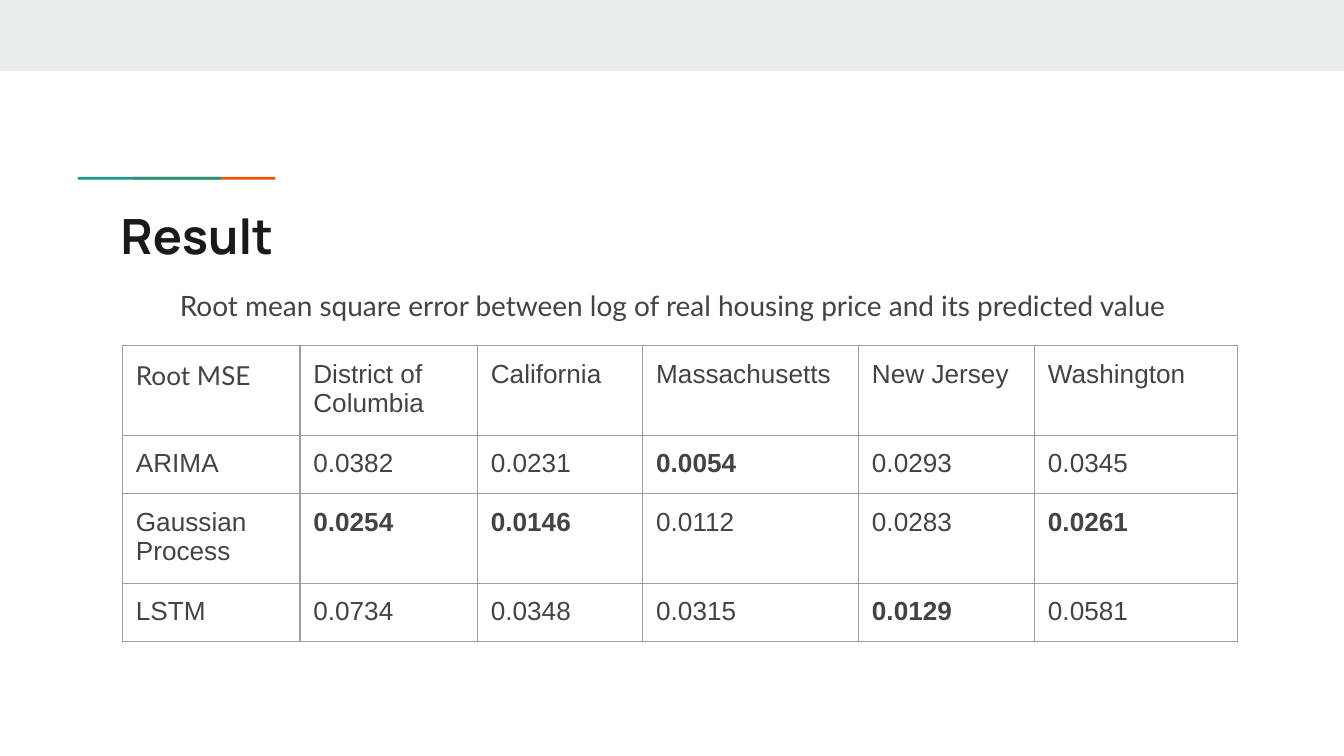
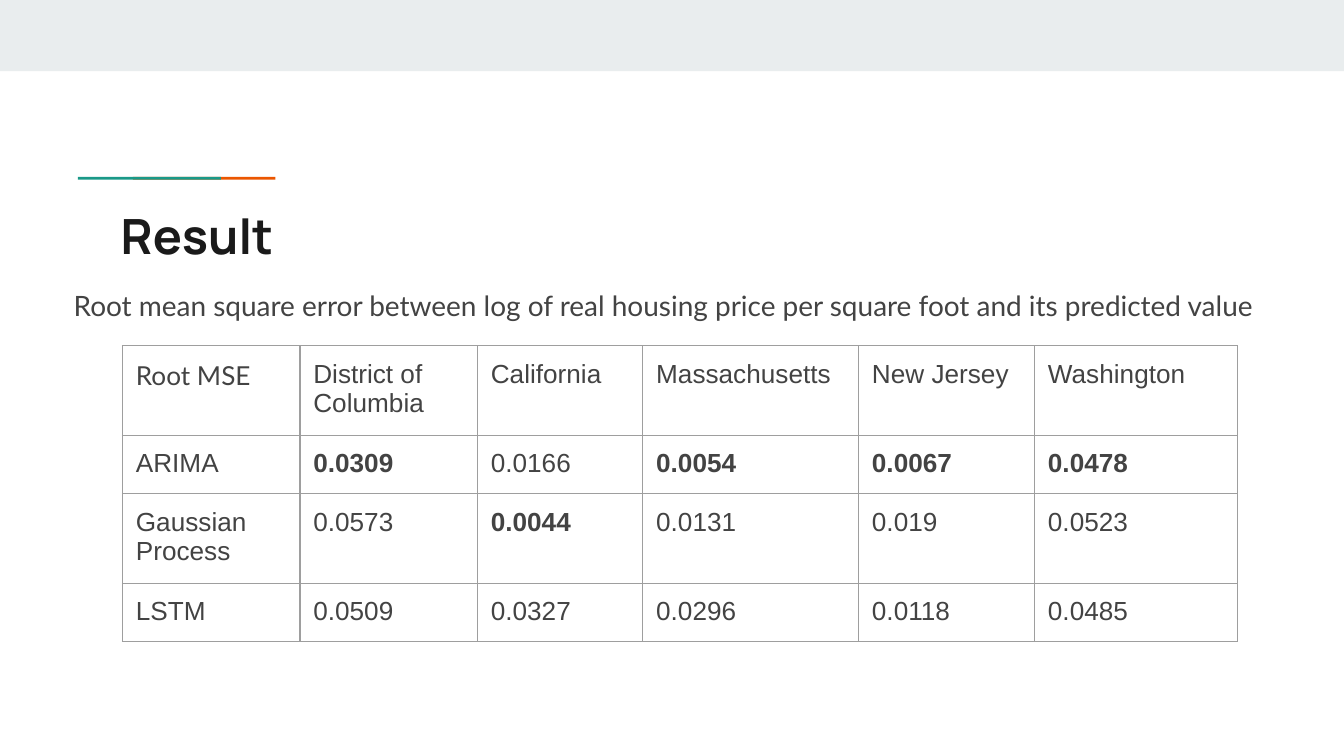
from lxml.etree import SubElement
from pptx import Presentation
from pptx.dml.color import RGBColor
from pptx.enum.shapes import MSO_SHAPE as SHAPE
from pptx.enum.text import MSO_ANCHOR as ANCHOR
from pptx.oxml.ns import qn
from pptx.util import Pt

BAND = RGBColor(0xE9, 0xED, 0xEE)
ORANGE = RGBColor(0xEB, 0x56, 0x00)
TEAL = RGBColor(0x1A, 0x99, 0x88)
INK = RGBColor(0x1A, 0x1A, 0x1A)
GREY = RGBColor(0x43, 0x43, 0x43)
BORDER = RGBColor(0x9E, 0x9E, 0x9E)

WIDTH, HEIGHT = 720, 405
INSET = Pt(7.2)
COLUMNS = [95.1, 95.1, 88.6, 115.6, 94.3, 108.8]
ROWS = [46, 30.3, 46, 30.3]

HEADER = ["Root MSE", "District of Columbia", "California",
          "Massachusetts", "New Jersey", "Washington"]
MODELS = ["ARIMA", "Gaussian Process", "LSTM"]
RESULTS = [
    ("Root mean square error between log of real housing price "
     "and its predicted value", 89.3, 556.6,
     [[0.0382, 0.0231, 0.0054, 0.0293, 0.0345],
      [0.0254, 0.0146, 0.0112, 0.0283, 0.0261],
      [0.0734, 0.0348, 0.0315, 0.0129, 0.0581]]),
    ("Root mean square error between log of real housing price "
     "per square foot and its predicted value", 32.4, 650.2,
     [[0.0309, 0.0166, 0.0054, 0.0067, 0.0478],
      [0.0573, 0.0044, 0.0131, 0.019, 0.0523],
      [0.0509, 0.0327, 0.0296, 0.0118, 0.0485]]),
]


class Deck:
    def __init__(self):
        self.prs = Presentation()
        self.prs.slide_width, self.prs.slide_height = Pt(WIDTH), Pt(HEIGHT)
        self.s = None

    def slide(self, title):
        self.s = self.prs.slides.add_slide(self.prs.slide_layouts[6])
        self.rect(0, 0, WIDTH, 38.2, BAND)
        self.rect(71.2, 94.8, 76.3, 1.5, ORANGE)
        self.rect(41.8, 94.8, 76.6, 1.5, TEAL)
        self.text(title, 57.6, 103.4, 605.5, 42.5, 26, "Manrope", INK, True)

    def rect(self, x, y, w, h, color):
        sp = self.s.shapes.add_shape(SHAPE.RECTANGLE, Pt(x), Pt(y), Pt(w), Pt(h))
        sp.shadow.inherit = False
        sp.fill.solid()
        sp.fill.fore_color.rgb = color
        sp.line.fill.background()

    def style(self, p, size, font, color, bold=False):
        p.font.size, p.font.name, p.font.bold = Pt(size), font, bold
        p.font.color.rgb = color

    def inset(self, box):
        box.margin_left = box.margin_right = INSET
        box.margin_top = box.margin_bottom = INSET

    def text(self, text, x, y, w, h, size, font, color, bold=False):
        tf = self.s.shapes.add_textbox(Pt(x), Pt(y), Pt(w), Pt(h)).text_frame
        tf.word_wrap = True
        tf.vertical_anchor = ANCHOR.TOP
        self.inset(tf)
        p = tf.paragraphs[0]
        p.text = text
        self.style(p, size, font, color, bold)

    def borders(self, cell):
        tc_pr = cell._tc.get_or_add_tcPr()
        for side in ("lnL", "lnR", "lnT", "lnB"):
            ln = SubElement(tc_pr, qn(f"a:{side}"), w=str(Pt(0.75)))
            fill = SubElement(ln, qn("a:solidFill"))
            SubElement(fill, qn("a:srgbClr"), val=str(BORDER))

    def cell(self, cell, text, font, bold):
        self.inset(cell)
        self.borders(cell)
        cell.fill.background()
        p = cell.text_frame.paragraphs[0]
        p.text = text
        self.style(p, 14, font, GREY, bold)

    def table(self, values, x, y):
        table = self.s.shapes.add_table(
            len(ROWS), len(COLUMNS), Pt(x), Pt(y),
            Pt(sum(COLUMNS)), Pt(sum(ROWS))).table
        table.first_row = table.horz_banding = False
        for column, width in zip(table.columns, COLUMNS):
            column.width = Pt(width)
        for row, height in zip(table.rows, ROWS):
            row.height = Pt(height)
        for j, text in enumerate(HEADER):
            self.cell(table.cell(0, j), text, "Arial" if j else "Lato", False)
        best = [min(column) for column in zip(*values)]
        for i, (model, row) in enumerate(zip(MODELS, values), 1):
            self.cell(table.cell(i, 0), model, "Arial", False)
            for j, (value, low) in enumerate(zip(row, best), 1):
                self.cell(table.cell(i, j), str(value), "Arial", value == low)


def main():
    deck = Deck()
    for caption, left, width, values in RESULTS:
        deck.slide("Result")
        deck.table(values, 65.6, 185.3)
        deck.text(caption, left, 147.6, width, 36, 15, "Lato", GREY)
    deck.prs.save("out.pptx")


if __name__ == "__main__":
    main()
